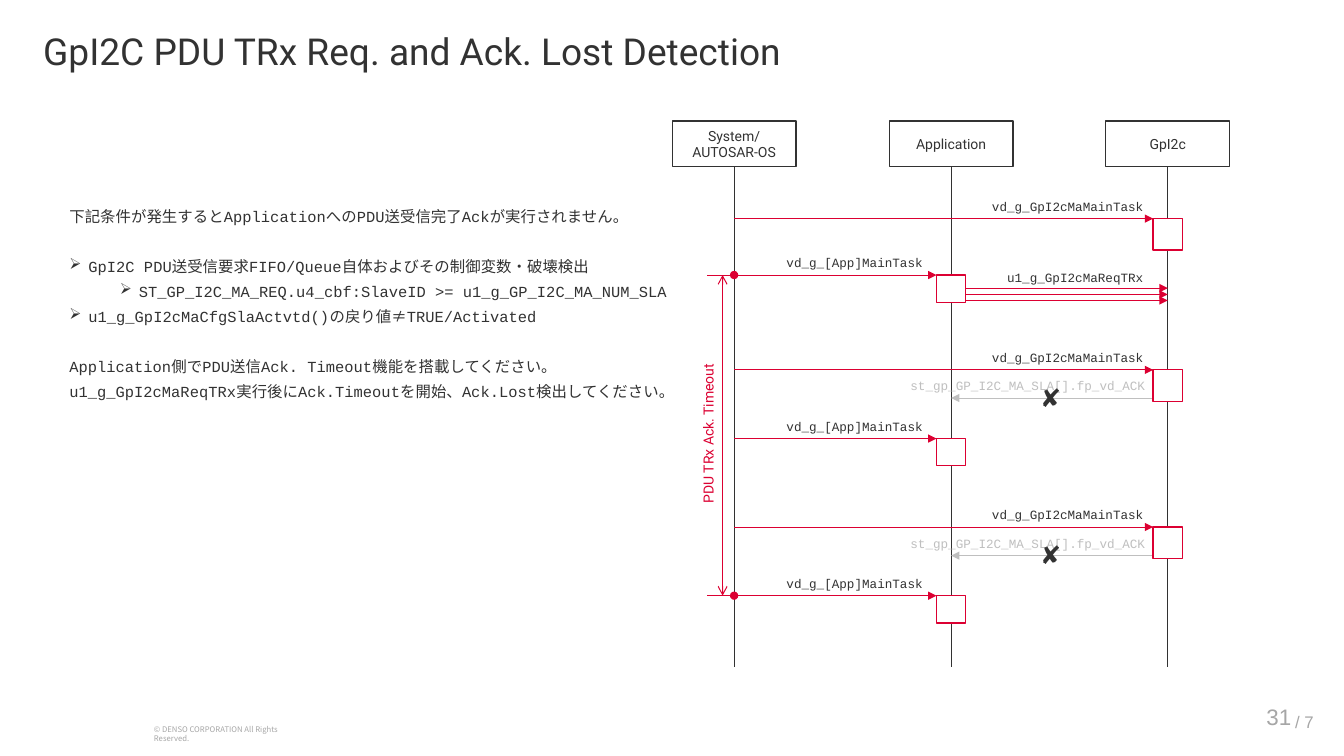
from lxml import etree
from pptx import Presentation
from pptx.dml.color import RGBColor as RGB
from pptx.enum.shapes import MSO_CONNECTOR as Link, MSO_SHAPE as Kind
from pptx.enum.text import MSO_ANCHOR as Anchor, PP_ALIGN as Align
from pptx.oxml.ns import qn
from pptx.util import Cm, Pt

INK = RGB(0x32, 0x32, 0x32)
RED = RGB(0xDC, 0x00, 0x32)
PALE = RGB(0xBF, 0xBF, 0xBF)
GREY = RGB(0xA6, 0xA6, 0xA6)
WHITE = RGB(0xFF, 0xFF, 0xFF)
SANS, MONO, ARIAL, CJK = "Roboto", "Courier New", "Arial", "Noto Sans CJK JP"

# Lifeline centres and the half width of an activation bar
SYS, APP, DRV = 18.5, 23.97, 29.43
HALF = 0.37
HEADS = [(SYS, ["System/", "AUTOSAR-OS"]), (APP, ["Application"]),
         (DRV, ["GpI2c"])]
# Rows of the sequence
APP_ROWS = [6.93, 11.05, 15.01]
DRV_ROWS = [5.51, 9.32, 13.28]
ACK_ROWS = [10.03, 14.0]
REQ_ROWS = [7.26, 7.42, 7.57]

# Text, bullet indent (None for plain text), space before in points
NOTES = [
    ("下記条件が発生するとApplicationへのPDU送受信完了Ackが実行されません。", None, 0),
    ("GpI2C PDU送受信要求FIFO/Queue自体およびその制御変数・破壊検出", 0.48, 18),
    ("ST_GP_I2C_MA_REQ.u4_cbf:SlaveID >= u1_g_GP_I2C_MA_NUM_SLA", 1.75, 0),
    ("u1_g_GpI2cMaCfgSlaActvtd()の戻り値≠TRUE/Activated", 0.48, 0),
    ("Application側でPDU送信Ack. Timeout機能を搭載してください。", None, 18),
    ("u1_g_GpI2cMaReqTRx実行後にAck.Timeoutを開始、Ack.Lost検出してください。",
     None, 0),
]


def add_run(para, text, size, font, ink):
    run = para.add_run()
    run.text = text
    run.font.size = Pt(size)
    run.font.name = font
    run.font.color.rgb = ink
    east = etree.SubElement(run.font._element, qn("a:ea"))
    east.set("typeface", CJK)


def add_text(slide, box, text, size, font, ink=INK, align=Align.LEFT,
             wrap=True, pad=0.13, left=0.25, lead=None, anchor=Anchor.TOP):
    shape = slide.shapes.add_textbox(*map(Cm, box))
    frame = shape.text_frame
    frame.word_wrap = wrap
    frame.vertical_anchor = anchor
    frame.margin_left = Cm(left)
    frame.margin_top = frame.margin_bottom = Cm(pad)
    para = frame.paragraphs[0]
    para.alignment = align
    if lead:
        para.line_spacing = lead
    add_run(para, text, size, font, ink)
    return shape


def add_box(slide, box, edge):
    shape = slide.shapes.add_shape(Kind.RECTANGLE, *map(Cm, box))
    shape.shadow.inherit = False
    shape.fill.solid()
    shape.fill.fore_color.rgb = WHITE
    shape.line.color.rgb = edge
    shape.line.width = Pt(0.85)
    return shape


def add_line(slide, start, end, ink, head=None, tail=None):
    line = slide.shapes.add_connector(Link.STRAIGHT, *map(Cm, start + end))
    line.line.color.rgb = ink
    line.line.width = Pt(0.75)
    stroke = line.line._get_or_add_ln()
    for tag, kind in (("a:headEnd", head), ("a:tailEnd", tail)):
        if kind:
            etree.SubElement(stroke, qn(tag)).set("type", kind)
    etree.SubElement(line._element.spPr, qn("a:effectLst"))
    return line


def add_head(slide, mid, names):
    """Draw a participant box with its lifeline."""
    head = add_box(slide, (mid - 1.56, 3.05, 3.12, 1.15), INK)
    frame = head.text_frame
    frame.vertical_anchor = Anchor.MIDDLE
    for i, name in enumerate(names):
        para = frame.add_paragraph() if i else frame.paragraphs[0]
        para.alignment = Align.CENTER
        add_run(para, name, 10, SANS, INK)
    line = add_line(slide, (mid, 4.2), (mid, 16.8), INK)
    line.begin_connect(head, 2)


def add_label(slide, text, right, base, wide=4.4, ink=INK):
    add_text(slide, (right - wide, base - 0.63, wide, 0.63), text, 9, MONO,
             ink, Align.RIGHT)


def add_call(slide, mid, row, text, tall):
    """Draw a call from the system and the bar it starts."""
    edge = mid - HALF
    add_line(slide, (SYS, row), (edge, row), RED, tail="triangle")
    add_label(slide, text, edge - (0.1 if mid == APP else 0), row)
    add_box(slide, (edge, row, 2 * HALF, tall), RED)


def add_ack(slide, row):
    """Draw a lost acknowledgement, crossed out."""
    add_line(slide, (DRV - HALF, row), (APP, row), PALE, tail="triangle")
    add_label(slide, "st_gp_GP_I2C_MA_SLA[].fp_vd_ACK", 29.1, row, 6.83, PALE)
    add_text(slide, (25.96, row - 0.67, 1.14, 0.91), "✘", 18, CJK,
             wrap=False, pad=0, lead=1.35)


def add_span(slide):
    """Draw the timeout between the first and last application task."""
    first, last = APP_ROWS[0], APP_ROWS[-1]
    add_line(slide, (18.21, first), (18.21, last), RED, "arrow", "arrow")
    for row in (first, last):
        add_line(slide, (SYS, row), (17.83, row), RED, head="oval")
    label = add_text(slide, (15.8, 10.54, 4.09, 0.69), "PDU TRx Ack. Timeout",
                     10, SANS, RED)
    label.rotation = 270


def add_notes(slide):
    shape = slide.shapes.add_textbox(Cm(1.5), Cm(5.05), Cm(16.13), Cm(5.03))
    frame = shape.text_frame
    frame.word_wrap = True
    frame.margin_top = frame.margin_bottom = 0
    for i, (text, indent, gap) in enumerate(NOTES):
        para = frame.add_paragraph() if i else frame.paragraphs[0]
        para.line_spacing = 1.35
        if gap:
            para.space_before = Pt(gap)
        if indent:
            props = para._p.get_or_add_pPr()
            props.set("marL", str(Cm(indent)))
            props.set("indent", str(-Cm(0.48)))
            etree.SubElement(props, qn("a:buChar")).set("char", "➢")
        add_run(para, text, 11, MONO, INK)


def add_footer(slide):
    add_text(slide, (3.63, 18.14, 4.4, 0.48),
             "© DENSO CORPORATION All Rights Reserved.", 5.5, CJK, GREY)
    add_text(slide, (30.99, 17.6, 1.8, 0.89), "31", 16, ARIAL, GREY,
             Align.RIGHT, pad=0.1, anchor=Anchor.MIDDLE)
    add_text(slide, (32.39, 17.83, 0.99, 0.71), "/ 7", 12, ARIAL, GREY,
             wrap=False, pad=0.1, anchor=Anchor.MIDDLE)


def main():
    deck = Presentation()
    deck.slide_width, deck.slide_height = Cm(33.87), Cm(19.05)
    slide = deck.slides.add_slide(deck.slide_layouts[6])
    add_footer(slide)
    add_text(slide, (0, 0.71, 30.02, 1.14),
             "GpI2C PDU TRx Req. and Ack. Lost Detection", 26.5, SANS,
             left=1.09, lead=0.9)
    for mid, names in HEADS:
        add_head(slide, mid, names)
    for row in REQ_ROWS:
        add_line(slide, (APP + HALF, row), (DRV, row), RED, tail="triangle")
    add_label(slide, "u1_g_GpI2cMaReqTRx", DRV - HALF, 7.31)
    for row in ACK_ROWS:
        add_ack(slide, row)
    for row in DRV_ROWS:
        add_call(slide, DRV, row, "vd_g_GpI2cMaMainTask", 0.79)
    for row in APP_ROWS:
        add_call(slide, APP, row, "vd_g_[App]MainTask", 0.69)
    add_span(slide)
    add_notes(slide)
    deck.save("out.pptx")


if __name__ == "__main__":
    main()
